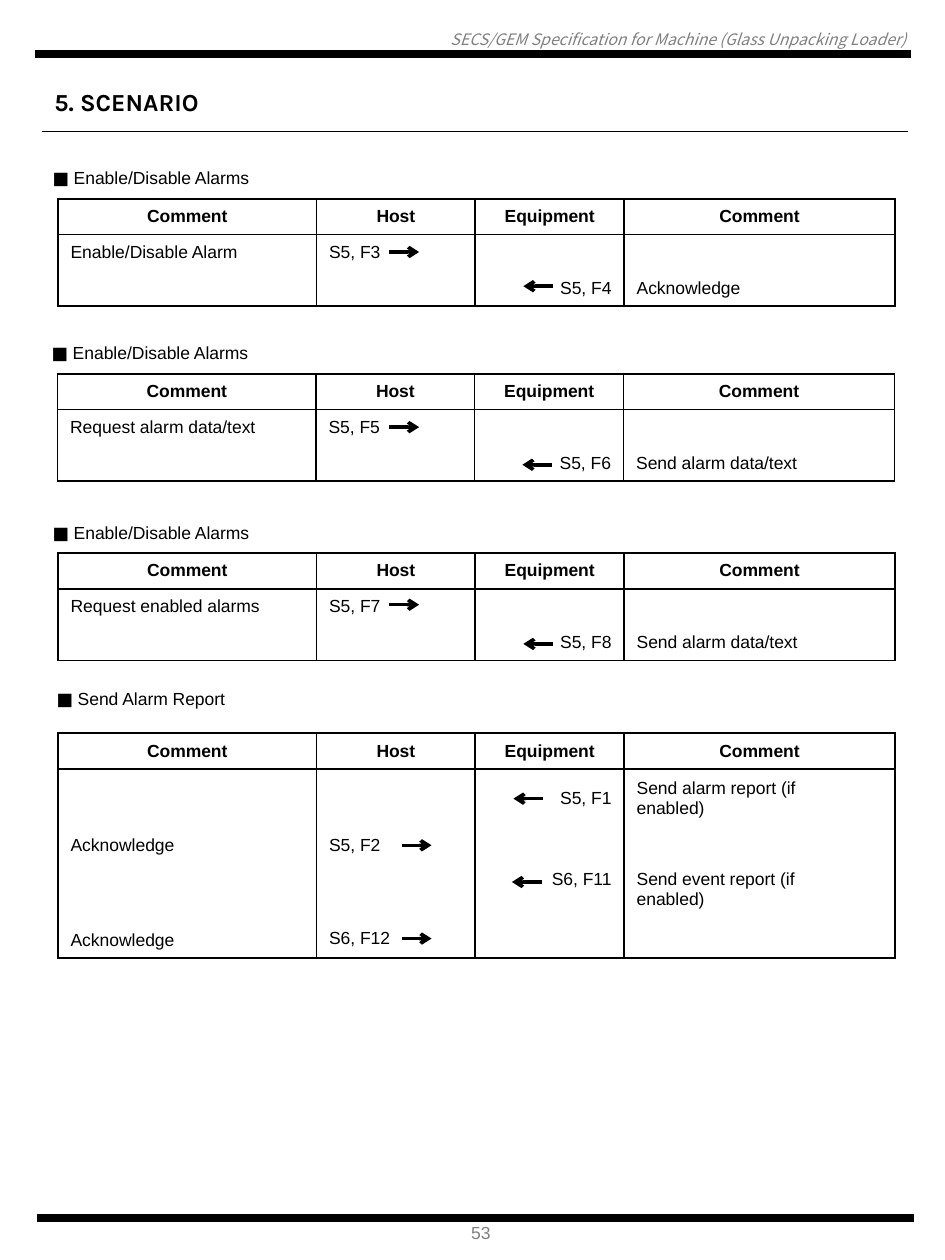
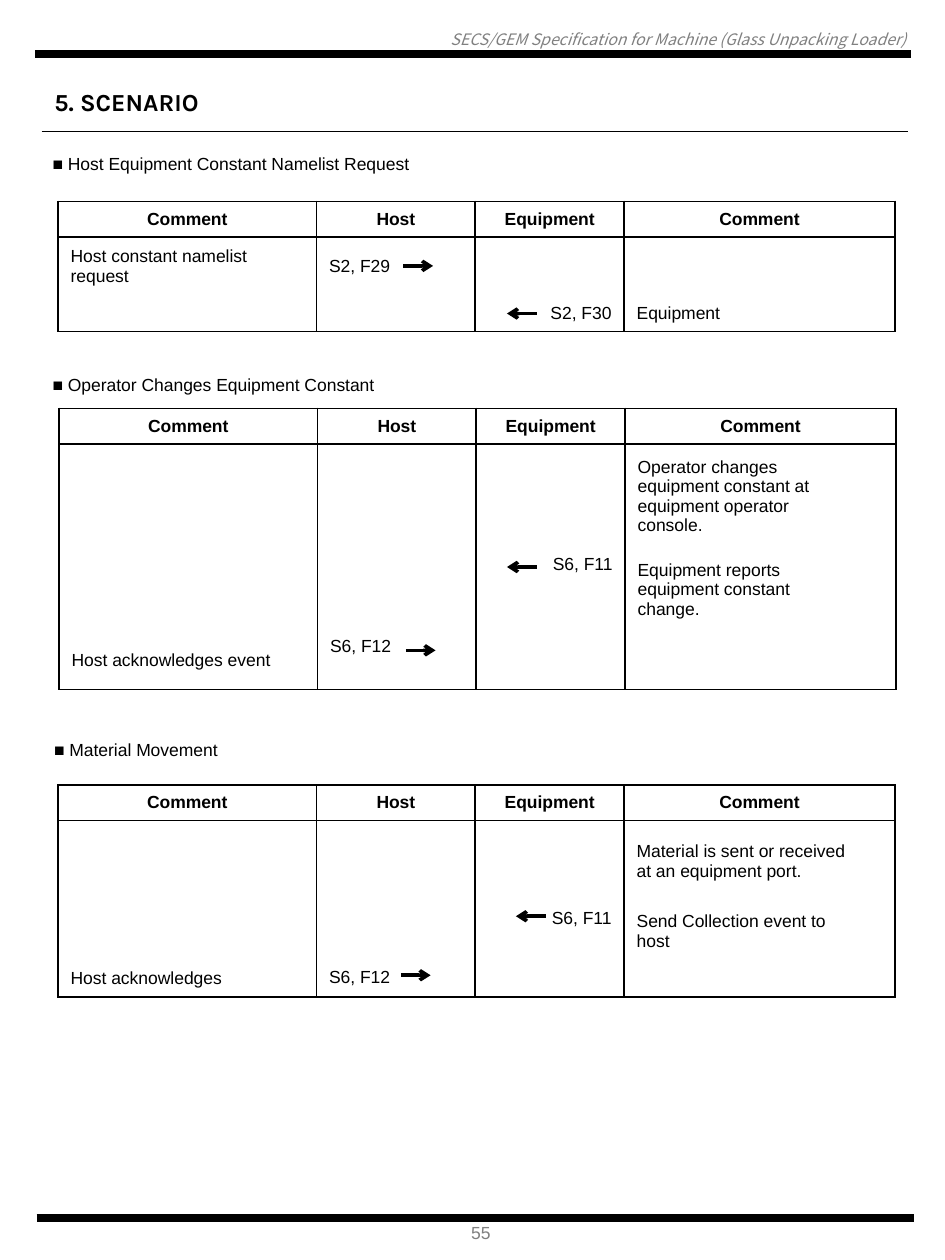
from lxml import etree
from pptx import Presentation
from pptx.dml.color import RGBColor
from pptx.enum.shapes import MSO_CONNECTOR
from pptx.enum.text import MSO_ANCHOR, PP_ALIGN
from pptx.oxml.ns import qn
from pptx.util import Cm, Pt

BLACK = RGBColor(0x00, 0x00, 0x00)
GRAY = RGBColor(0x80, 0x80, 0x80)
LEFT, CENTER, RIGHT = PP_ALIGN.LEFT, PP_ALIGN.CENTER, PP_ALIGN.RIGHT
TOP, MIDDLE = MSO_ANCHOR.TOP, MSO_ANCHOR.MIDDLE
STRAIGHT = MSO_CONNECTOR.STRAIGHT
BODY_FONT, TITLE_FONT, HEADER_FONT = "Arial", "Karla", "Noto Sans CJK KR"

# Content: all positions in centimetres
HEADER = "SECS/GEM Specification for Machine (Glass Unpacking Loader)"
TITLE = "5. SCENARIO"
COLUMNS = [("Comment", 5.21), ("Host", 3.2), ("Equipment", 3.0), ("Comment", 5.46)]

# Each row is its height in text lines, then its cells.
# Each arrow is its starting point.
PAGES = [
    {"number": "53", "bullet_font": TITLE_FONT, "scenarios": [
        {"name": "Enable/Disable Alarms", "name_at": (0.81, 3.25), "table_at": (1.17, 4.01),
         "rows": [(1, "Enable/Disable Alarm", "S5, F3", "", ""),
                  (1, "", "", "S5, F4", "Acknowledge")],
         "arrows": [(7.85, 5.08), (11.15, 5.77)]},
        {"name": "Enable/Disable Alarms", "name_at": (0.79, 6.78), "table_at": (1.16, 7.54),
         "rows": [(1, "Request alarm data/text", "S5, F5", "", ""),
                  (1, "", "", "S5, F6", "Send alarm data/text")],
         "arrows": [(7.85, 8.61), (11.13, 9.37)]},
        {"name": "Enable/Disable Alarms", "name_at": (0.81, 10.39), "table_at": (1.17, 11.15),
         "rows": [(1, "Request enabled alarms", "S5, F7", "", ""),
                  (1, "", "", "S5, F8", "Send alarm data/text")],
         "arrows": [(7.85, 12.19), (11.15, 12.98)]},
        {"name": "Send Alarm Report", "name_at": (0.89, 13.74), "table_at": (1.17, 14.78),
         "rows": [(2, "", "", "S5, F1", "Send alarm report (if\nenabled)"),
                  (1, "Acknowledge", "S5, F2", "", ""),
                  (2, "", "", "S6, F11", "Send event report (if\nenabled)"),
                  (1, "Acknowledge", "S6, F12", "", "")],
         "arrows": [(10.95, 16.1), (8.1, 17.04), (10.92, 17.78), (8.1, 18.92)]},
    ]},
    {"number": "55", "bullet_font": BODY_FONT, "scenarios": [
        {"name": "Host Equipment Constant Namelist Request",
         "name_at": (0.81, 2.97), "table_at": (1.17, 4.06),
         "rows": [(2, "Host constant namelist\nrequest", "S2, F29", "", ""),
                  (1, "", "", "S2, F30", "Equipment")],
         "arrows": [(8.13, 5.36), (10.82, 6.32)]},
        {"name": "Operator Changes Equipment Constant",
         "name_at": (0.81, 7.42), "table_at": (1.19, 8.23),
         "rows": [(4, "", "", "", "Operator changes\nequipment constant at\n"
                                  "equipment operator\nconsole."),
                  (3, "", "", "S6, F11", "Equipment reports\nequipment constant\nchange."),
                  (2, "Host acknowledges event", "S6, F12", "", "")],
         "arrows": [(10.82, 11.43), (8.18, 13.11)]},
        {"name": "Material Movement", "name_at": (0.84, 14.78), "table_at": (1.17, 15.82),
         "rows": [(3, "", "", "", "Material is sent or received\nat an equipment port."),
                  (2, "", "", "S6, F11", "Send Collection event to\nhost"),
                  (1, "Host acknowledges", "S6, F12", "", "")],
         "arrows": [(11.0, 18.47), (8.08, 19.66)]},
    ]},
]

ROW_HEIGHT, EXTRA_LINE = 0.72, 0.465
ARROW_LENGTH = 0.6
HOST_SIDE_END = 9.5                      # arrows starting left of this point right
TOP_ALIGNED = ("S6", "Send event")       # event messages sit at the top of their cell


def add_run(paragraph, text, size=10, font=BODY_FONT, color=BLACK, bold=False, italic=False):
    run = paragraph.add_run()
    run.text = text
    run.font.size, run.font.name = Pt(size), font
    run.font.bold, run.font.italic = bold, italic
    run.font.color.rgb = color


def add_text_box(slide, left, top, width, height, align=LEFT):
    frame = slide.shapes.add_textbox(Cm(left), Cm(top), Cm(width), Cm(height)).text_frame
    frame.word_wrap = True
    frame.paragraphs[0].alignment = align
    return frame


def add_line(slide, start, end, width, arrow=False):
    line = slide.shapes.add_connector(STRAIGHT, *(Cm(value) for value in start + end))
    line.line.color.rgb = BLACK
    line.line.width = Pt(width)
    properties = line._element.spPr
    if arrow:
        etree.SubElement(properties.find(qn("a:ln")), qn("a:tailEnd"), type="arrow")
    etree.SubElement(properties, qn("a:effectLst"))


def set_borders(cell, top, bottom):
    properties = cell._tc.get_or_add_tcPr()
    for index, (side, shown) in enumerate(
            [("lnL", True), ("lnR", True), ("lnT", top), ("lnB", bottom)]):
        border = etree.Element(qn("a:" + side), w=str(Pt(1)))
        if shown:
            fill = etree.SubElement(border, qn("a:solidFill"))
            etree.SubElement(fill, qn("a:srgbClr"), val=str(BLACK))
        else:
            etree.SubElement(border, qn("a:noFill"))
        properties.insert(index, border)


def fill_cell(cell, text, align, bold):
    cell.fill.background()
    cell.vertical_anchor = TOP if text.startswith(TOP_ALIGNED) else MIDDLE
    frame = cell.text_frame
    for index, line in enumerate(text.split("\n")):
        paragraph = frame.add_paragraph() if index else frame.paragraphs[0]
        paragraph.alignment = align
        if line:
            add_run(paragraph, line, bold=bold)
        else:
            # Keeps empty cells from stretching their row
            etree.SubElement(paragraph._p, qn("a:endParaRPr"), sz="1000")


def add_scenario_table(slide, left, top, body_rows):
    rows = [(1, *(name for name, _ in COLUMNS))] + body_rows
    heights = [ROW_HEIGHT + EXTRA_LINE * (row[0] - 1) for row in rows]
    total_width = sum(width for _, width in COLUMNS)
    table = slide.shapes.add_table(len(rows), len(COLUMNS), Cm(left), Cm(top),
                                   Cm(total_width), Cm(sum(heights))).table
    table.horz_banding = False
    for column, (_, width) in zip(table.columns, COLUMNS):
        column.width = Cm(width)
    for r, (_, *texts) in enumerate(rows):
        table.rows[r].height = Cm(heights[r])
        is_header = r == 0
        for c, text in enumerate(texts):
            align = CENTER if is_header else RIGHT if c == 2 else LEFT
            cell = table.cell(r, c)
            fill_cell(cell, text, align, is_header)
            set_borders(cell, top=r <= 1, bottom=is_header or r == len(rows) - 1)


def add_page_frame(slide, number):
    # Running header
    frame = add_text_box(slide, 0.13, 0.61, 18.13, 0.38, RIGHT)
    frame.margin_left = frame.margin_right = frame.margin_top = frame.margin_bottom = 0
    add_run(frame.paragraphs[0], HEADER, 9, HEADER_FONT, GRAY, italic=True)
    # Bands and page number
    add_line(slide, (0.71, 1.09), (18.36, 1.09), 4.75)
    add_line(slide, (0.74, 24.56), (18.42, 24.56), 4.75)
    frame = add_text_box(slide, 9.25, 24.51, 0.94, 0.69)
    frame.word_wrap = False
    add_run(frame.paragraphs[0], number, color=GRAY)
    # Title and its rule
    title = slide.shapes.title
    title.left, title.top, title.width, title.height = Cm(0.84), Cm(1.63), Cm(3.81), Cm(0.86)
    title.text_frame.word_wrap = False
    title.text_frame.vertical_anchor = MIDDLE
    paragraph = title.text_frame.paragraphs[0]
    paragraph.alignment = LEFT
    add_run(paragraph, TITLE, 14, TITLE_FONT, bold=True)
    add_line(slide, (0.84, 2.65), (18.31, 2.65), 0.75)


def add_scenario(slide, scenario, bullet_font):
    paragraph = add_text_box(slide, *scenario["name_at"], 17.6, 0.69).paragraphs[0]
    add_run(paragraph, "■", font=bullet_font)
    add_run(paragraph, " " + scenario["name"])
    add_scenario_table(slide, *scenario["table_at"], scenario["rows"])
    for x, y in scenario["arrows"]:
        step = ARROW_LENGTH if x < HOST_SIDE_END else -ARROW_LENGTH
        add_line(slide, (x, y), (x + step, y), 2, arrow=True)


def main():
    presentation = Presentation()
    presentation.slide_width, presentation.slide_height = Cm(19.05), Cm(25.4)
    title_only = presentation.slide_layouts[5]
    for page in PAGES:
        slide = presentation.slides.add_slide(title_only)
        add_page_frame(slide, page["number"])
        for scenario in page["scenarios"]:
            add_scenario(slide, scenario, page["bullet_font"])
    presentation.save("out.pptx")


if __name__ == "__main__":
    main()
